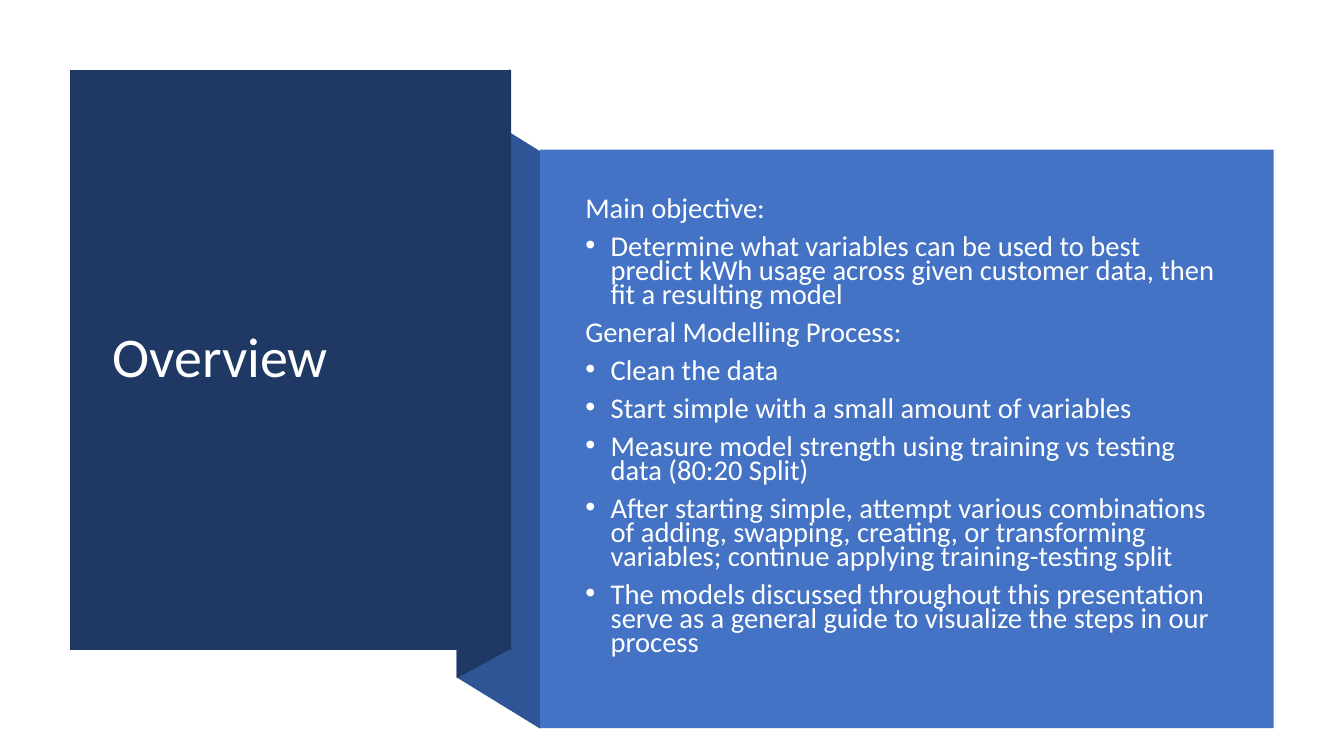
from dataclasses import dataclass

from lxml.etree import SubElement
from pptx import Presentation
from pptx.dml.color import RGBColor
from pptx.enum.shapes import MSO_SHAPE
from pptx.enum.text import MSO_ANCHOR
from pptx.oxml.ns import qn
from pptx.util import Cm, Pt


@dataclass(frozen=True)
class Theme:
    font: str = "Calibri"
    navy: str = "203864"
    ribbon: str = "2F5597"
    blue: str = "4472C4"
    white: str = "FFFFFF"
    body_white: str = "FEFFFF"
    title_size: float = 40
    body_size: float = 20.4


@dataclass(frozen=True)
class Box:
    left: float
    top: float
    width: float
    height: float

    def lengths(self) -> tuple:
        return Cm(self.left), Cm(self.top), Cm(self.width), Cm(self.height)


@dataclass(frozen=True)
class Fold:
    corners: tuple
    color: str


@dataclass(frozen=True)
class Panel:
    box: Box
    color: str


@dataclass(frozen=True)
class Line:
    text: str
    bullet: bool = False


THEME = Theme()
BULLET_INDENT = Cm(0.64)

# Folded ribbon pieces, from back to front
FOLDS = (
    Fold(((13.61, 18.36), (11.51, 17.07), (11.51, 2.51), (13.61, 3.81)), THEME.ribbon),
    Fold(((12.85, 16.36), (11.51, 17.09), (11.51, 2.49), (12.85, 1.75)), THEME.navy),
)
PANELS = (
    Panel(Box(1.77, 1.77, 11.11, 14.61), THEME.navy),
    Panel(Box(13.61, 3.77, 18.49, 14.58), THEME.blue),
)
TITLE_BOX = Box(2.59, 2.72, 9.42, 12.67)
BODY_BOX = Box(14.5, 4.78, 16.54, 12.04)

OVERVIEW = (
    Line("Main objective:"),
    Line("Determine what variables can be used to best predict kWh usage across "
         "given customer data, then fit a resulting model", bullet=True),
    Line("General Modelling Process:"),
    Line("Clean the data", bullet=True),
    Line("Start simple with a small amount of variables", bullet=True),
    Line("Measure model strength using training vs testing data (80:20 Split)", bullet=True),
    Line("After starting simple, attempt various combinations of adding, swapping, "
         "creating, or transforming variables; continue applying training-testing split",
         bullet=True),
    Line("The models discussed throughout this presentation serve as a general guide "
         "to visualize the steps in our process", bullet=True),
)


def paint(shape, color: str) -> None:
    shape.shadow.inherit = False
    shape.fill.solid()
    shape.fill.fore_color.rgb = RGBColor.from_string(color)
    shape.line.fill.background()


def draw_fold(slide, fold: Fold) -> None:
    start, *others = [(Cm(x), Cm(y)) for x, y in fold.corners]
    builder = slide.shapes.build_freeform(*start)
    builder.add_line_segments(others, close=True)
    paint(builder.convert_to_shape(), fold.color)


def draw_panel(slide, panel: Panel) -> None:
    paint(slide.shapes.add_shape(MSO_SHAPE.RECTANGLE, *panel.box.lengths()), panel.color)


def add_bullet(paragraph) -> None:
    properties = paragraph._p.get_or_add_pPr()
    properties.set("marL", str(BULLET_INDENT))
    properties.set("indent", str(-BULLET_INDENT))
    SubElement(properties, qn("a:buFont"), typeface="Arial")
    SubElement(properties, qn("a:buChar"), char="•")


def write_text(slide, lines: tuple[Line, ...], *, box: Box, size: float, color: str,
               line_spacing: float, space_before: float = 0) -> None:
    frame = slide.shapes.add_textbox(*box.lengths()).text_frame
    frame.word_wrap = True
    frame.vertical_anchor = MSO_ANCHOR.MIDDLE
    for index, line in enumerate(lines):
        paragraph = frame.add_paragraph() if index else frame.paragraphs[0]
        paragraph.line_spacing = line_spacing
        paragraph.space_before = Pt(space_before)
        if line.bullet:
            add_bullet(paragraph)
        run = paragraph.add_run()
        run.text = line.text
        run.font.name = THEME.font
        run.font.size = Pt(size)
        run.font.color.rgb = RGBColor.from_string(color)


def main() -> None:
    deck = Presentation()
    deck.slide_width, deck.slide_height = Cm(33.87), Cm(19.05)
    slide = deck.slides.add_slide(deck.slide_layouts[6])

    # Ribbon and panels
    for fold in FOLDS:
        draw_fold(slide, fold)
    for panel in PANELS:
        draw_panel(slide, panel)

    # Title and body
    write_text(slide, (Line("Overview"),), box=TITLE_BOX, size=THEME.title_size,
               color=THEME.white, line_spacing=0.9)
    write_text(slide, OVERVIEW, box=BODY_BOX, size=THEME.body_size,
               color=THEME.body_white, line_spacing=0.7, space_before=10)

    deck.save("out.pptx")


if __name__ == "__main__":
    main()
